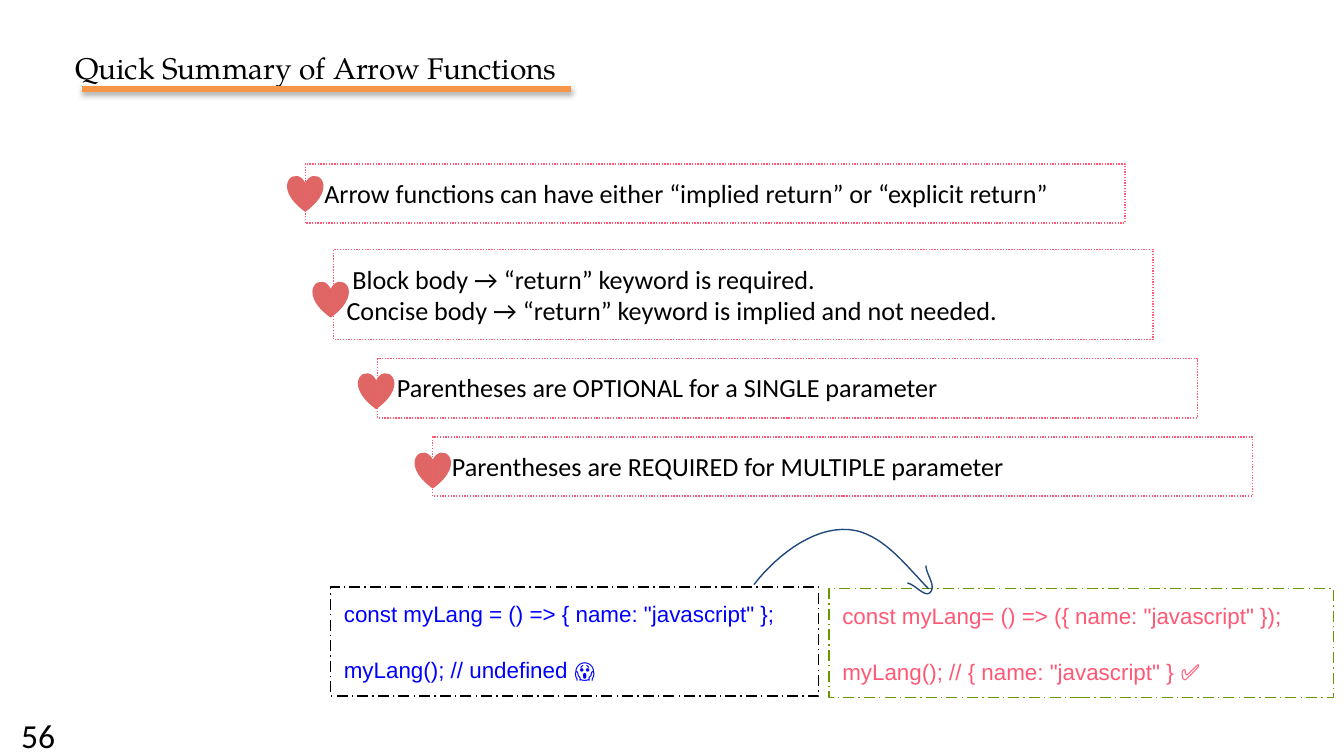
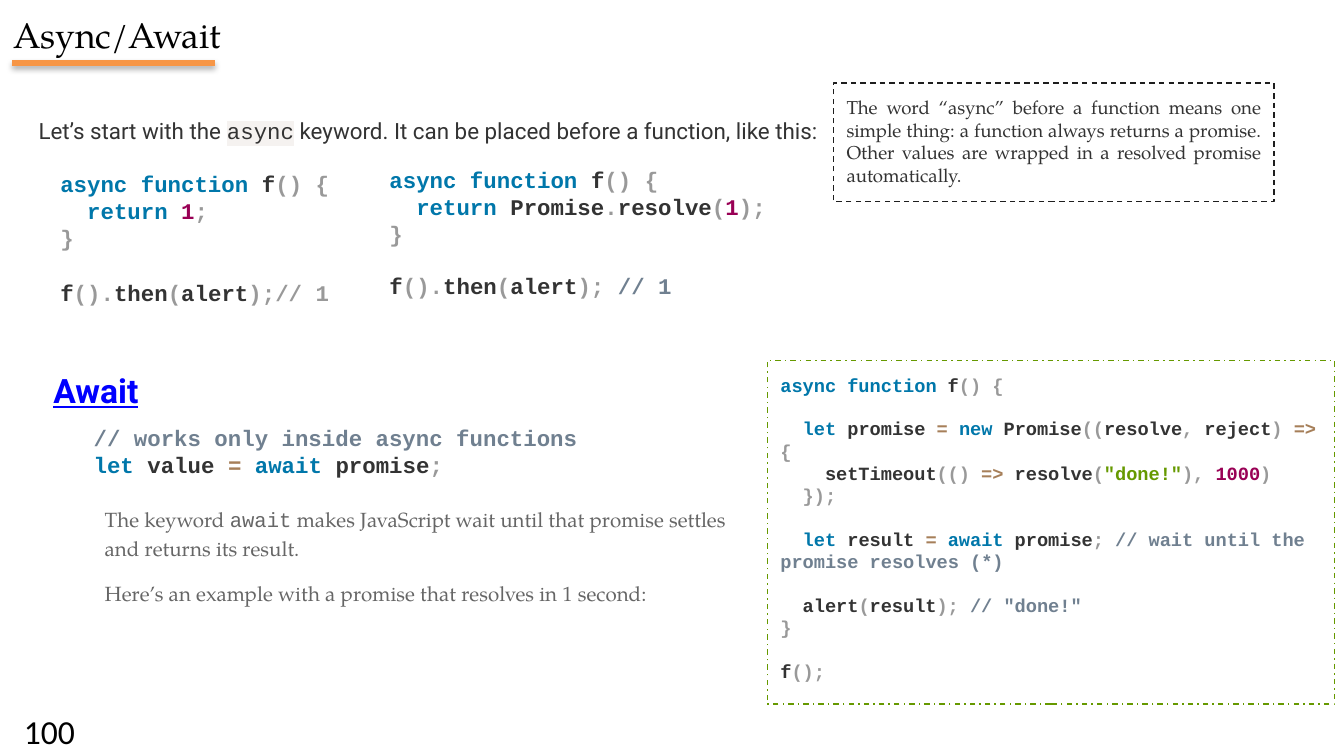
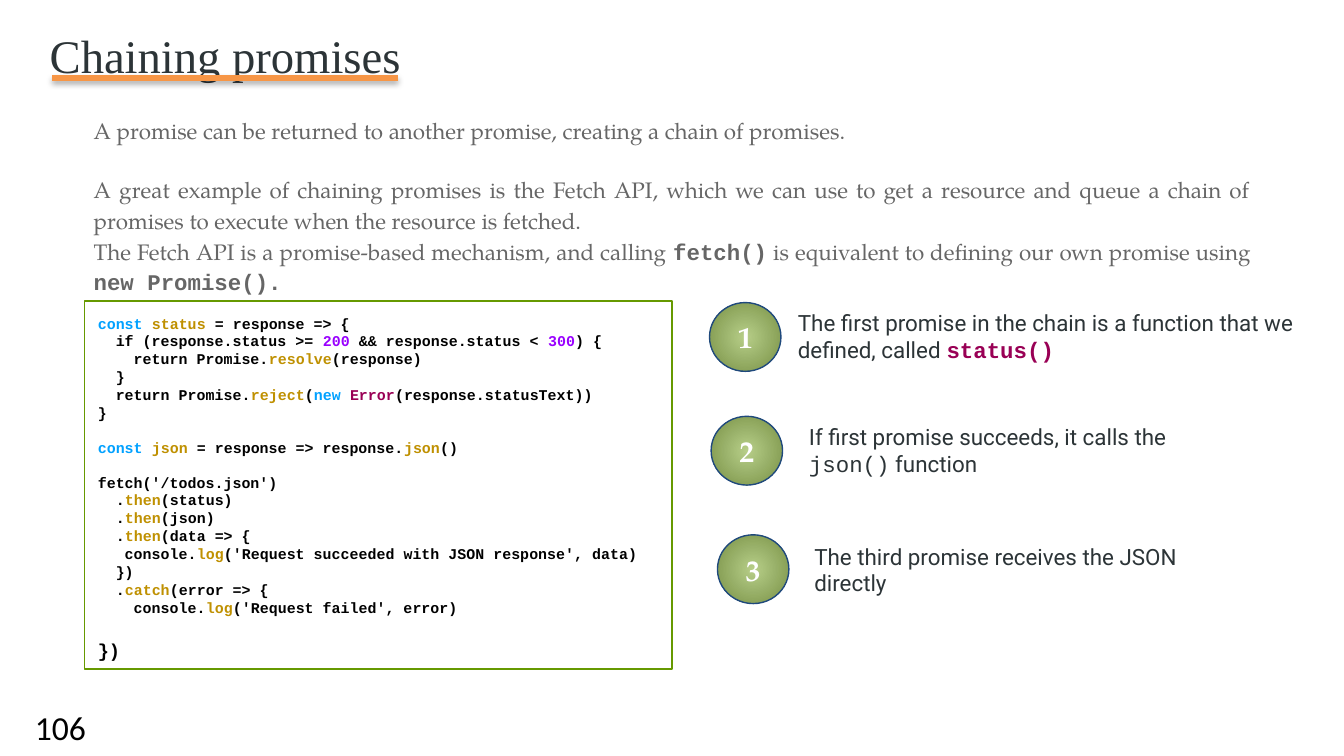
import pptx
import pptx.dml.color
import pptx.enum.dml
import pptx.enum.shapes
import pptx.enum.text
import pptx.oxml
import pptx.oxml.ns
import pptx.util

Cm = pptx.util.Cm
Pt = pptx.util.Pt
SHAPES = pptx.enum.shapes.MSO_SHAPE
DASHES = pptx.enum.dml.MSO_LINE
ANCHORS = pptx.enum.text.MSO_ANCHOR
ALIGN = pptx.enum.text.PP_ALIGN

COLORS = {
    "black": "000000", "white": "FFFFFF", "accent": "F79646", "navy": "1F497D",
    "heart": "E06666", "pink": "FF5874", "blue": "0000FF", "green": "669900",
    "frame": "1E1E1E", "ink": "333333", "slate": "2C3437", "gray": "666666",
    "keyword": "0077AA", "mark": "999999", "number": "990055", "operator": "A67F59",
    "comment": "708090", "tint": "F5F2F0", "sky": "00A1FF", "gold": "BF9000",
    "violet": "9900FF", "leaf": "B7CE88", "moss": "768F45",
}
SERIF, MONO = "TeX Gyre Pagella", "Courier New"

SPANS = {
    ".": {},
    "k": {"color": "keyword"}, "n": {"color": "ink"}, "p": {"color": "mark"},
    "d": {"color": "number"}, "o": {"color": "operator"}, "c": {"color": "comment"},
    "s": {"color": "green"}, "w": {"color": "sky"}, "g": {"color": "gold"},
    "v": {"color": "violet"},
    "m": {"name": MONO}, "b": {"name": MONO, "bold": True},
    "h": {"name": MONO, "highlight": "tint"},
    "f": {"name": MONO, "bold": True, "color": "number"},
}


def font(name, size, color, **more):
    return {"name": name, "size": size, "color": color, **more}


NUMBER_FONT = font("Calibri", 18, "black")
POINT_FONT = font("Calibri", 14, "black")
BADGE_FONT = font(SERIF, 16, "white", bold=True)
STEP_FONT = font("Roboto", 12, "slate")
CODE_FONT = font(MONO, 12, "mark", bold=True)
EXAMPLE_FONT = font(MONO, 10, "mark", bold=True)
CHAIN_FONT = font(MONO, 8, "black", bold=True)
PROSE_FONT = font(SERIF, 12, "gray")
LOOSE = {"line_spacing": 1.15}
JUSTIFIED = {"alignment": ALIGN.JUSTIFY, **LOOSE}

HEADERS = [
    {"title": ["Quick Summary of Arrow Functions"], "at": (1.17, 0.69, 14.1, 1.19),
     "font": font(SERIF, 16, "black"), "rule": (1.55, 10.8, 1.68),
     "number": "56", "number_at": (0.15, 13.39, 5.92, 0.76)},
    {"title": ["Async/Await"], "at": (0, 0, 25.4, 1.32),
     "font": font(SERIF, 19, "black"), "rule": (0.23, 4.06, 1.19),
     "number": "100", "number_at": (0.2, 13.31, 5.92, 0.76)},
    {"title": [("Chaining promises", LOOSE)], "at": (0.69, 0.1, 11.66, 1.57),
     "font": font("Times New Roman", 25, "slate"), "rule": (0.99, 7.52, 1.47),
     "number": "106", "number_at": (0.41, 13.23, 5.92, 0.76)},
]

POINT_WIDTH, HEART_SIZE = 15.49, 0.66
INDENT = {"indent": 0.11}
POINTS = [
    ((5.77, 3.1), 1.12, (5.44, 3.33),
     [("Arrow functions can have either “implied return” or “explicit return”", INDENT)]),
    ((6.3, 4.72), 1.7, (5.92, 5.33),
     [("Block body → “return” keyword is required.", INDENT),
      "Concise body → “return” keyword is implied and not needed."]),
    ((7.14, 6.78), 1.12, (6.78, 7.06),
     [("Parentheses are OPTIONAL for a SINGLE parameter", INDENT)]),
    ((8.18, 8.26), 1.12, (7.85, 8.56),
     [("Parentheses are REQUIRED for MULTIPLE parameter", INDENT)]),
]

ARROW_CURVES = [
    [(14.25, 11.05), (14.71, 10.46), (15.47, 9.88), (16.18, 10.03),
     (16.74, 10.16), (17.15, 10.72), (17.55, 11.13)],
    [(17.15, 11.02), (17.3, 11.05), (17.48, 11.3), (17.58, 11.2),
     (17.7, 11.07), (17.5, 10.85), (17.5, 10.69)],
]

ARROW_PANELS = [
    {"at": (6.25, 11.1, 9.22, 2.06), "outline": ("black", DASHES.LONG_DASH_DOT),
     "font": font("Arial", 12, "blue"),
     "lines": ['const myLang = () => { name: "javascript" };', "",
               ("myLang(); // undefined 😱", LOOSE)]},
    {"at": (15.67, 11.13, 9.53, 2.06), "outline": ("green", DASHES.LONG_DASH_DOT),
     "font": font("Arial", 12, "pink"),
     "lines": ['const myLang= () => ({ name: "javascript" });', "",
               ('myLang(); // { name: "javascript" } ✅', LOOSE)]},
]

ASYNC_PANELS = [
    {"at": (0.48, 1.96, 16.54, 1.02), "font": font("Roboto", 12, "ink"),
     "lines": ["Let’s start with the ~hasync~. keyword. "
               "It can be placed before a function, like this:"]},
    {"at": (0.89, 2.97, 5.79, 2.06), "font": CODE_FONT,
     "lines": ["~kasync function~n f~p() {", "  ~kreturn ~d1~p;", "}"]},
    {"at": (15.75, 1.57, 8.33, 2.24), "outline": ("frame", DASHES.DASH),
     "font": font(SERIF, 10, "ink"),
     "lines": [("The word “async” before a function means one simple thing: "
                "a function always returns a promise. Other values are wrapped "
                "in a resolved promise automatically.", {"alignment": ALIGN.JUSTIFY})]},
    {"at": (0.89, 5.03, 5.79, 1.02), "font": CODE_FONT,
     "lines": ["~nf~p().~nthen~p(~nalert~p);// 1"]},
    {"at": (7.11, 2.9, 8.33, 3.07), "font": CODE_FONT,
     "lines": ["~kasync function~n f~p() {",
               "  ~kreturn~n Promise~p.~nresolve~p(~d1~p);", "}", "",
               "~nf~p().~nthen~p(~nalert~p); ~c// 1"]},
    {"at": (0.76, 6.5, 8.33, 1.27),
     "font": font("Roboto", 18, "blue", bold=True, underline=True),
     "lines": [("Await", {"line_spacing": 1.33})]},
    {"at": (1.52, 7.77, 12.04, 1.55), "font": CODE_FONT,
     "lines": ["~c// works only inside async functions",
               "~klet~n value ~o= ~kawait~n promise~p;"]},
    {"at": (1.73, 9.27, 12.78, 2.39), "font": font(SERIF, 11, "gray"),
     "lines": [("The keyword ~mawait~. makes JavaScript wait until that promise "
                "settles and returns its result.", LOOSE),
               ("Here’s an example with a promise that resolves in 1 second:",
                {"space_before": 9, **LOOSE})]},
    {"at": (14.5, 6.81, 10.72, 6.5), "outline": ("green", DASHES.DASH_DOT),
     "font": EXAMPLE_FONT,
     "lines": ["~kasync function~n f~p() {", "",
               "  ~klet~n promise ~o= ~knew~n Promise~p((~nresolve~p,~n reject~p) ~o=> ~p{",
               '~n    setTimeout~p(() ~o=>~n resolve~p(~s"done!"~p), ~d1000~p)',
               "  });", "",
               "  ~klet~n result ~o= ~kawait~n promise~p; "
               "~c// wait until the promise resolves (*)", "",
               '~n  alert~p(~nresult~p); ~c// "done!"', "}", "", "~nf~p();"]},
]

CHAIN_PANELS = [
    {"at": (1.52, 1.96, 20.98, 1.02), "font": PROSE_FONT,
     "lines": ["A promise can be returned to another promise, creating a chain of promises."]},
    {"at": (1.52, 3, 22.38, 2.79), "font": PROSE_FONT,
     "lines": [("A great example of chaining promises is the Fetch API, which we can use "
                "to get a resource and queue a chain of promises to execute when the "
                "resource is fetched.", JUSTIFIED),
               ("The Fetch API is a promise-based mechanism, and calling ~bfetch()~. is "
                "equivalent to defining our own promise using ~bnew Promise().", JUSTIFIED)]},
    {"at": (1.6, 5.69, 11.1, 6.96), "outline": ("green", DASHES.SOLID), "font": CHAIN_FONT,
     "lines": ["~wconst ~gstatus ~.= response => {",
               "  if (response.status >= ~v200~. && response.status < ~v300~.) {",
               "    return Promise.~gresolve~.(response)", "  }",
               "  return Promise.~greject~.(~wnew ~dError~.(response.statusText))", "}", "",
               "~wconst ~gjson ~.= response => response.~gjson~.()", "",
               "fetch('/todos.json')", "  .~gthen~.(status)", "  .~gthen~.(json)",
               "  .~gthen~.(data => {",
               "   console.~glog~.('Request succeeded with JSON response', data)", "  })",
               "  .~gcatch~.(error => {", "    console.~glog~.('Request failed', error)",
               ("})", {"line_spacing": 1.5, "space_before": 6, "size": 10})]},
]

BADGE_SIZE = (1.35, 1.3)
STEPS = [
    ((13.41, 5.72), (14.83, 5.59, 10.39, 1.55),
     "The first promise in the chain is a function that we defined, called ~fstatus()"),
    ((13.44, 7.87), (15.04, 7.75, 8.33, 1.55),
     "If first promise succeeds, it calls the ~mjson()~. function"),
    ((13.56, 10.11), (15.14, 10.01, 8.33, 1.55),
     "The third promise receives the JSON directly"),
]


def rgb(name):
    return pptx.dml.color.RGBColor.from_string(COLORS[name])


def xml(body):
    return pptx.oxml.parse_xml(body.replace(" ", f" {pptx.oxml.ns.nsdecls('a')} ", 1))


def format_span(span, values):
    for name, value in values.items():
        if name == "color":
            span.font.color.rgb = rgb(value)
        elif name == "highlight":
            mark = xml(f'<a:highlight ><a:srgbClr val="{COLORS[value]}"/></a:highlight>')
            span.font.fill._xPr.find(pptx.oxml.ns.qn("a:solidFill")).addnext(mark)
        else:
            setattr(span.font, name, Pt(value) if name == "size" else value)


def format_para(para, values):
    for name, value in values.items():
        if name == "indent":
            para._p.get_or_add_pPr().set("indent", str(Cm(value)))
        else:
            setattr(para, name, Pt(value) if name.startswith("space_") else value)


def write(shape, lines, base, inset=0.25, anchor=ANCHORS.TOP, alignment=ALIGN.LEFT):
    frame = shape.text_frame
    settings = {"word_wrap": True, "vertical_anchor": anchor,
                "margin_left": Cm(0.25), "margin_right": Cm(0.25),
                "margin_top": Cm(inset), "margin_bottom": Cm(inset)}
    for name, value in settings.items():
        setattr(frame, name, value)
    para, gap = frame.paragraphs[0], 0
    for index, line in enumerate(lines):
        if not line:
            gap += base["size"] * 1.13
            continue
        text, values = (line, {}) if isinstance(line, str) else line
        values = {"alignment": alignment, **values}
        size = values.pop("size", base["size"])
        if gap:
            values["space_before"] = gap + values.get("space_before", 0)
            gap = 0
        if index:
            para = frame.add_paragraph()
        format_para(para, values)
        plain, *marked = text.split("~")
        for piece in ["." + plain] * bool(plain) + marked:
            span = para.add_run()
            span.text = piece[1:]
            format_span(span, {**base, "size": size, **SPANS[piece[0]]})


def outline(shape, color, dash=DASHES.SOLID):
    shape.line.color.rgb = rgb(color)
    shape.line.width = Pt(0.75)
    shape.line.dash_style = dash


def add_preset(page, kind, at, color, dash=DASHES.SOLID, fill=None):
    shape = page.shapes.add_shape(kind, *map(Cm, at))
    shape.shadow.inherit = False
    outline(shape, color, dash)
    if fill:
        shape.fill.solid()
        shape.fill.fore_color.rgb = rgb(fill)
    else:
        shape.fill.background()
    return shape


def add_panel(page, panel):
    if "outline" in panel:
        box = add_preset(page, SHAPES.RECTANGLE, panel["at"], *panel["outline"])
    else:
        box = page.shapes.add_textbox(*map(Cm, panel["at"]))
    write(box, panel["lines"], panel["font"], panel.get("inset", 0.25))


def add_rule(page, left, right, top):
    rule = page.shapes.add_connector(
        pptx.enum.shapes.MSO_CONNECTOR.STRAIGHT, Cm(left), Cm(top), Cm(right), Cm(top))
    rule.line.color.rgb = rgb("accent")
    rule.line.width = Pt(3)
    rule._element.spPr.append(xml(
        '<a:effectLst ><a:outerShdw blurRad="40000" dist="23000" dir="5400000" '
        f'rotWithShape="0"><a:srgbClr val="{COLORS["black"]}"><a:alpha val="35000"/>'
        '</a:srgbClr></a:outerShdw></a:effectLst>'))


def add_page(deck, header, panels):
    page = deck.slides.add_slide(deck.slide_layouts[6])
    add_panel(page, {"at": header["number_at"], "lines": [header["number"]],
                     "font": NUMBER_FONT, "inset": 0.13})
    add_panel(page, {"at": header["at"], "lines": header["title"], "font": header["font"]})
    add_rule(page, *header["rule"])
    for panel in panels:
        add_panel(page, panel)
    return page


def curve_points(knots, steps=16):
    points = [knots[0]]
    for start in range(0, len(knots) - 1, 3):
        a, b, c, d = knots[start:start + 4]
        for step in range(1, steps + 1):
            t = step / steps
            u = 1 - t
            points.append(tuple(
                u ** 3 * a[i] + 3 * u * u * t * b[i] + 3 * u * t * t * c[i] + t ** 3 * d[i]
                for i in (0, 1)))
    return [(Cm(x), Cm(y)) for x, y in points]


def add_curve(page, knots):
    first, *rest = curve_points(knots)
    builder = page.shapes.build_freeform(*first)
    builder.add_line_segments(rest, close=False)
    curve = builder.convert_to_shape()
    curve.shadow.inherit = False
    curve.fill.background()
    outline(curve, "navy")


def add_point(page, place, height, heart_place, lines):
    add_preset(page, SHAPES.HEART, (*heart_place, HEART_SIZE, HEART_SIZE),
               "heart", fill="heart")
    add_panel(page, {"at": (*place, POINT_WIDTH, height), "lines": lines,
                     "font": POINT_FONT, "outline": ("pink", DASHES.ROUND_DOT)})


def add_step(page, number, place, text_at, text):
    badge = add_preset(page, SHAPES.OVAL, (*place, *BADGE_SIZE), "navy")
    badge.fill.gradient()
    for stop, color in zip(badge.fill.gradient_stops, ("leaf", "moss")):
        stop.color.rgb = rgb(color)
    linear = badge._element.spPr.find(".//" + pptx.oxml.ns.qn("a:lin"))
    linear.addnext(xml('<a:path path="circle"><a:fillToRect l="50000" t="50000" '
                       'r="50000" b="50000"/></a:path>'))
    linear.getparent().remove(linear)
    write(badge, [str(number)], BADGE_FONT, anchor=ANCHORS.MIDDLE, alignment=ALIGN.CENTER)
    add_panel(page, {"at": text_at, "lines": [text], "font": STEP_FONT})


def main():
    deck = pptx.Presentation()
    deck.slide_width, deck.slide_height = Cm(25.4), Cm(14.29)
    arrows, _, chain = [
        add_page(deck, header, panels)
        for header, panels in zip(HEADERS, (ARROW_PANELS, ASYNC_PANELS, CHAIN_PANELS))]
    for point in POINTS:
        add_point(arrows, *point)
    for knots in ARROW_CURVES:
        add_curve(arrows, knots)
    for number, step in enumerate(STEPS, 1):
        add_step(chain, number, *step)
    deck.save("out.pptx")


if __name__ == "__main__":
    main()
